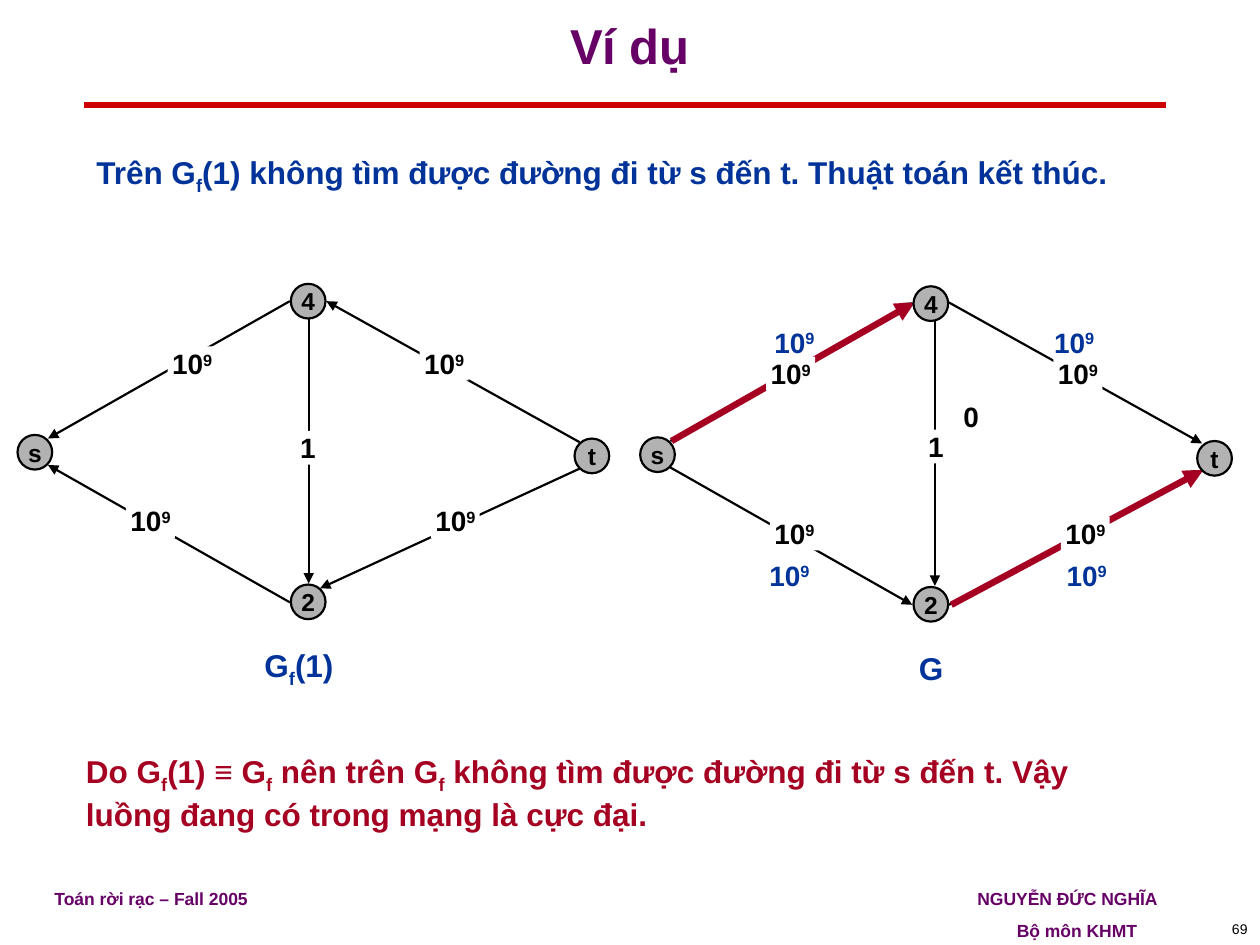
"""Build a slide that compares the residual graph with its flow network."""
import pptx
import pptx.dml.color
import pptx.enum.shapes
import pptx.enum.text
import pptx.oxml
import pptx.oxml.ns
import pptx.util

Pt = pptx.util.Pt
Align = pptx.enum.text.PP_ALIGN
Anchor = pptx.enum.text.MSO_ANCHOR
Shape = pptx.enum.shapes.MSO_SHAPE
COLORS = {"purple": "660066", "blue": "003399", "wine": "A50021", "rule": "CC0000",
          "gray": "B2B2B2", "black": "000000", "white": "FFFFFF"}
NODES = [("s", 10, 248.5), ("4", 166.2, 162.2), ("2", 166.2, 334), ("t", 328.3, 250.6)]
SHIFTS = [(0, 0), (355.8, 1.4)]
EDGES = [
    (165.6, 172.1, 27.4, 250.6), (331.2, 267.8, 182.9, 336.2),
    (331.2, 252.7, 186.5, 172.1), (165.6, 344.2, 27.4, 265.7),
    (176.4, 182.2, 176.4, 333.4),
    (383, 252, 521.3, 172.8), (542.2, 345.6, 686.9, 268.6),
    (383, 267.1, 521.3, 345.6), (542.2, 172.8, 686.9, 253.4),
    (534.2, 183.6, 534.2, 334.8),
]
FLOWS = [(383.8, 252, 522.7, 172.8), (543.6, 345.6, 687.6, 268.6)]
POWER = ["10", "9"]
CAPS = [
    (POWER, 95.8, 198, 28), (POWER, 72, 288, 28), (POWER, 246.2, 288, 28),
    (POWER, 239.8, 198, 28), (["1"], 162, 246.2, 28),
    (POWER, 437.8, 203.8, 28), (POWER, 606.2, 295.2, 28), (POWER, 601.9, 203.8, 28),
    (POWER, 439.9, 295.2, 28), (["1"], 523.6, 245.5, 22.3), (["0"], 543.8, 228.2, 22.3),
]
USED = [(440.6, 185.8), (437.8, 319), (607.7, 319), (600.5, 185.8)]


def paint(name):
    """Return the named colour."""
    return pptx.dml.color.RGBColor.from_string(COLORS[name])


def write(shape, parts, size, color, align=Align.LEFT, shift=-25, bold=True):
    """Write parts as runs, with every second part off the baseline."""
    para = shape.text_frame.paragraphs[0]
    para.alignment = align
    for index, part in enumerate(parts):
        run = para.add_run()
        run.text = part
        font = run.font
        font.name, font.size, font.bold = "Arial", Pt(size), bold
        font.color.rgb = paint(color)
        if index % 2:
            run._r.get_or_add_rPr().set("baseline", str(shift * 1000))
    return para


def frame(shape, side, top, anchor=Anchor.TOP, wrap=True):
    """Set the margins, anchor and wrapping of a shape's text."""
    text = shape.text_frame
    text.margin_left = text.margin_right = Pt(side)
    text.margin_top = text.margin_bottom = Pt(top)
    text.vertical_anchor, text.word_wrap = anchor, wrap


def add_text(slide, area, parts, size, color, align=Align.LEFT, anchor=Anchor.TOP, bold=True):
    """Add a text box and return its paragraph."""
    box = slide.shapes.add_textbox(*map(Pt, area))
    frame(box, 7.2, 3.6, anchor)
    return write(box, parts, size, color, align, bold=bold)


def add_line(slide, ends, color="black", width=1.25, arrow=True):
    """Add a straight line, with an arrowhead at its end if asked."""
    line = slide.shapes.add_connector(
        pptx.enum.shapes.MSO_CONNECTOR.STRAIGHT, *map(Pt, ends))
    line.line.color.rgb = paint(color)
    line.line.width = Pt(width)
    if arrow:
        head = pptx.oxml.parse_xml(
            '<a:tailEnd %s type="triangle"/>' % pptx.oxml.ns.nsdecls("a"))
        line.line._get_or_add_ln().append(head)
    line._element.spPr.append(
        pptx.oxml.parse_xml("<a:effectLst %s/>" % pptx.oxml.ns.nsdecls("a")))


def add_node(slide, name, left, top):
    """Add a round graph node."""
    node = slide.shapes.add_shape(Shape.OVAL, *map(Pt, (left, top, 19.8, 19.8)))
    node.shadow.inherit = False
    node.fill.solid()
    node.fill.fore_color.rgb = paint("gray")
    node.line.color.rgb = paint("black")
    node.line.width = Pt(1.25)
    frame(node, 0, 0, Anchor.MIDDLE, False)
    write(node, [name], 14, "black", Align.CENTER)


def add_cap(slide, parts, left, top, width):
    """Add a capacity on a white patch over its edge."""
    patch = slide.shapes.add_shape(Shape.RECTANGLE, *map(Pt, (left, top, width, 19.4)))
    patch.shadow.inherit = False
    patch.fill.solid()
    patch.fill.fore_color.rgb = paint("white")
    patch.line.fill.background()
    frame(patch, 0, 0)
    write(patch, parts, 16, "black", Align.CENTER, 30)


def add_used(slide, left, top):
    """Add a flow value beside its edge."""
    box = slide.shapes.add_textbox(*map(Pt, (left, top, 26.6, 13.7)))
    frame(box, 0, 0)
    write(box, POWER, 16, "blue", Align.CENTER, 30)


def add_graphs(slide):
    """Add both graphs with their edges, nodes and values."""
    for ends in EDGES:
        add_line(slide, ends)
    for ends in FLOWS:
        add_line(slide, ends, "wine", 3.75)
    for across, down in SHIFTS:
        for name, left, top in NODES:
            add_node(slide, name, left + across, top + down)
    for cap in CAPS:
        add_cap(slide, *cap)
    for spot in USED:
        add_used(slide, *spot)
    add_text(slide, (144, 365.8, 60, 31.7), ["G", "f", "(1)"], 18, "blue")
    add_text(slide, (518, 367.2, 60, 31.7), ["G"], 18, "blue")


def add_foot(slide):
    """Add the footer and the slide number."""
    add_text(slide, (24, 504, 220, 20), ["Toán rời rạc – Fall 2005"], 10, "purple")
    add_text(slide, (535, 504, 150, 20), ["NGUYỄN ĐỨC NGHĨA"], 10, "purple", Align.CENTER)
    add_text(slide, (540.4, 522.2, 150, 17.8), ["Bộ môn KHMT"], 10, "purple", Align.CENTER)
    add_text(slide, (690, 522, 30, 18), ["69"], 8, "black", Align.RIGHT, Anchor.MIDDLE, False)


def main():
    """Build and save the slide."""
    deck = pptx.Presentation()
    deck.slide_width, deck.slide_height = Pt(720), Pt(540)
    slide = deck.slides.add_slide(deck.slide_layouts[6])
    add_line(slide, (48, 60, 666, 60), "rule", 3, False)
    title = add_text(slide, (0, 0, 720, 60), ["Ví dụ"], 28, "purple",
                     Align.CENTER, Anchor.MIDDLE)
    title.line_spacing = 0.7
    add_text(slide, (48, 84, 618, 54),
             ["Trên G", "f", "(1) không tìm được đường đi từ s đến t. Thuật toán kết thúc."],
             18, "blue")
    add_graphs(slide)
    add_text(slide, (42, 426, 624, 86),
             ["Do G", "f", "(1) ≡ G", "f", " nên trên G", "f",
              " không tìm được đường đi từ s đến t. Vậy luồng đang có trong mạng là cực đại."],
             18, "wine")
    add_foot(slide)
    deck.save("out.pptx")


if __name__ == "__main__":
    main()
